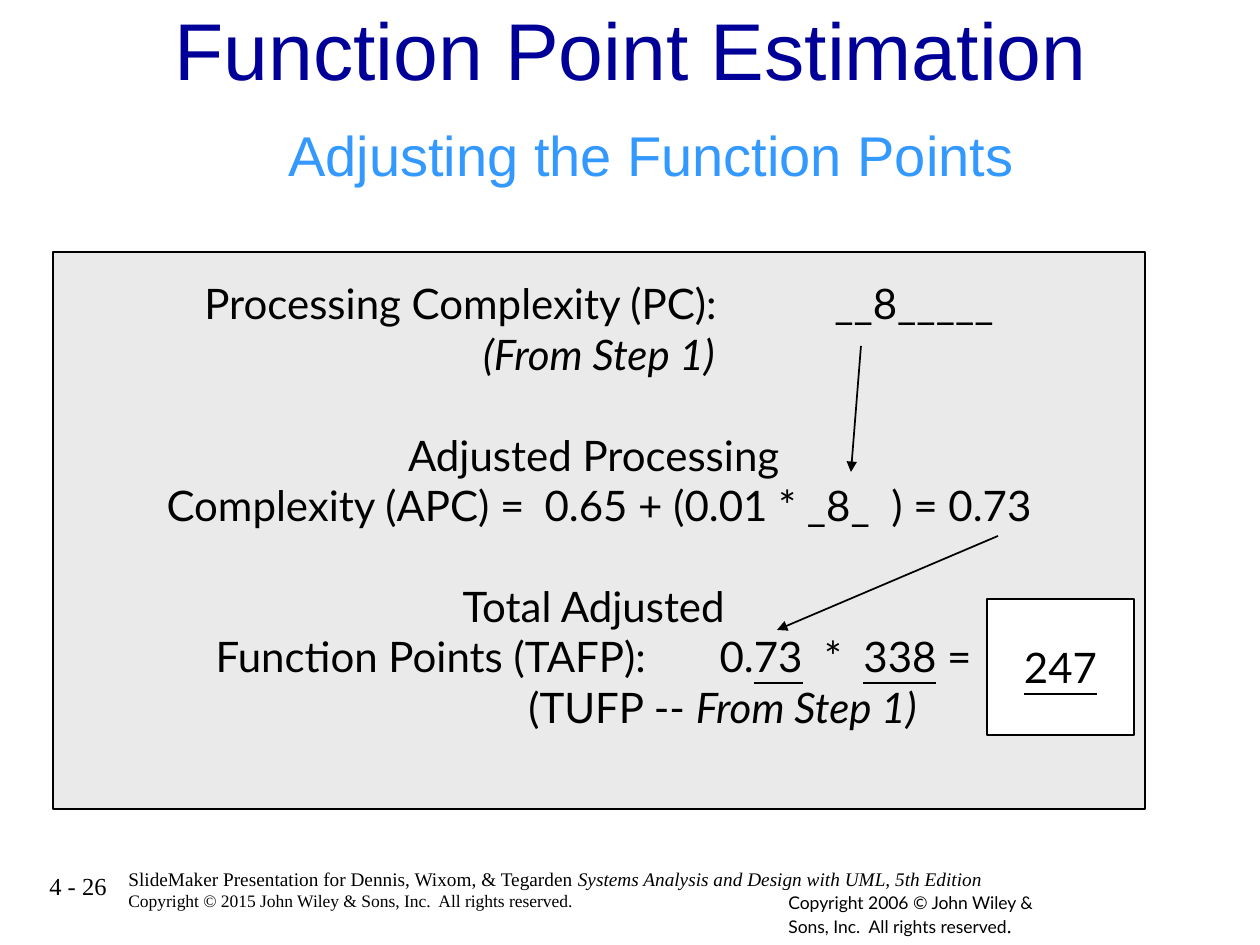
"""Build the slide on adjusting function points."""
import pptx
import pptx.dml.color
import pptx.enum.shapes
import pptx.enum.text
import pptx.oxml.ns
import pptx.util
from lxml import etree

PX = 914400 // 126
Pt = pptx.util.Pt
qn = pptx.oxml.ns.qn
CENTER = pptx.enum.text.PP_ALIGN.CENTER
TOP = pptx.enum.text.MSO_ANCHOR.TOP
MIDDLE = pptx.enum.text.MSO_ANCHOR.MIDDLE
LATO = {"name": "Lato", "size": Pt(24)}
TIMES = {"name": "Times New Roman", "size": Pt(11)}
ITALIC, UNDER = {"italic": True}, {"underline": True}
GAP = {"space_before": Pt(28.8)}


def rgb(value):
    return pptx.dml.color.RGBColor.from_string(value)


def write(sp, frame, base, rows, color="000000"):
    tf = sp.text_frame
    for key, value in frame.items():
        setattr(tf, key, value)
    for i, (layout, indent, runs) in enumerate(rows):
        p = tf.paragraphs[0] if i == 0 else tf.add_paragraph()
        if indent:
            p._p.get_or_add_pPr().set("marL", str(indent * PX))
        for key, value in layout.items():
            setattr(p, key, value)
        if any("\t" in text for text, _ in runs):
            tabs = etree.SubElement(p._p.get_or_add_pPr(), qn("a:tabLst"))
            for stop in (378, 504, 630):
                etree.SubElement(tabs, qn("a:tab"), pos=str(stop * PX), algn="l")
        for text, extra in runs:
            r = p.add_run()
            r.text = text
            fmt = {"color": color, **base, **extra}
            r.font.color.rgb = rgb(fmt.pop("color"))
            for key, value in fmt.items():
                setattr(r.font, key, value)


prs = pptx.Presentation()
prs.slide_width, prs.slide_height = pptx.util.Inches(10), pptx.util.Inches(7.5)
s = prs.slides.add_slide(prs.slide_layouts[6])

title = [
    ({"alignment": CENTER}, 0, [("Function Point Estimation", {})]),
    ({"alignment": CENTER, "space_before": Pt(14)}, 42,
     [("Adjusting the Function Points", {"size": Pt(32), "color": "3399FF"})]),
]
credit = [
    ({}, 0, [("SlideMaker Presentation for Dennis, Wixom, & Tegarden ", {}),
             ("Systems Analysis and Design with UML, 5th Edition", ITALIC)]),
    ({}, 0, [("Copyright © 2015 John Wiley & Sons, Inc.  All rights reserved.", {"size": Pt(10)})]),
]
rights = [({}, 0, [("Copyright 2006 © John Wiley & Sons, Inc.  All rights reserved", {"name": "Lato", "size": Pt(10)}),
                   (".", {"size": Pt(12)})])]
number = [({}, 0, [("4 - 26", {"size": Pt(14)})])]

for box, frame, base, rows, color in [
    ((116, 861, 959, 57), {}, TIMES, credit, "000000"),
    ((776, 865, 294, 50), {"margin_top": 27 * PX}, TIMES, rights, "000000"),
    ((37, 865, 667, 50), {}, TIMES, number, "000000"),
    ((76, 15, 1109, 184), {"vertical_anchor": pptx.enum.text.MSO_ANCHOR.BOTTOM, "margin_bottom": 11 * PX},
     {"name": "Arial", "size": Pt(46)}, title, "000099"),
]:
    sp = s.shapes.add_textbox(*(v * PX for v in box))
    write(sp, {"word_wrap": True, **frame}, base, rows, color)

steps = [
    ({}, 0, [("Processing Complexity (PC):\t__8_____", {})]),
    ({}, 0, [("(From Step 1)", ITALIC)]),
    (GAP, 0, [("Adjusted Processing ", {})]),
    ({}, 0, [("Complexity (APC) =\t0.65 + (0.01 * _8_  ) = 0.73", {})]),
    (GAP, 0, [("Total Adjusted ", {})]),
    ({}, 0, [("Function Points (TAFP):\t0.", {}), ("73", UNDER), ("  *  ", {}),
             ("338", UNDER), (" = ", {})]),
    ({}, 247, [("(TUFP -- ", {}), ("From Step 1)", ITALIC)]),
]
result = [({}, 0, [("247", UNDER)])]

for box, fill, frame, rows in [
    ((53, 252, 1092, 557), "EAEAEA", {"vertical_anchor": TOP, "margin_top": 26 * PX}, steps),
    ((987, 599, 147, 136), "FFFFFF", {"vertical_anchor": MIDDLE}, result),
]:
    sp = s.shapes.add_shape(pptx.enum.shapes.MSO_SHAPE.RECTANGLE, *(v * PX for v in box))
    sp.shadow.inherit = False
    sp.fill.solid()
    sp.fill.fore_color.rgb = rgb(fill)
    sp.line.color.rgb = rgb("000000")
    sp.line.width = Pt(1)
    centred = [({"alignment": CENTER, **layout}, indent, runs) for layout, indent, runs in rows]
    write(sp, {"word_wrap": False, **frame}, LATO, centred)

for ends in [(861, 346, 851, 472), (998, 536, 777, 630)]:
    arrow = s.shapes.add_connector(pptx.enum.shapes.MSO_CONNECTOR.STRAIGHT, *(v * PX for v in ends))
    arrow.line.color.rgb = rgb("000000")
    arrow.line.width = Pt(1)
    spPr = arrow._element.spPr
    etree.SubElement(spPr.find(qn("a:ln")), qn("a:tailEnd"), type="triangle")
    etree.SubElement(spPr, qn("a:effectLst"))

prs.save("out.pptx")
